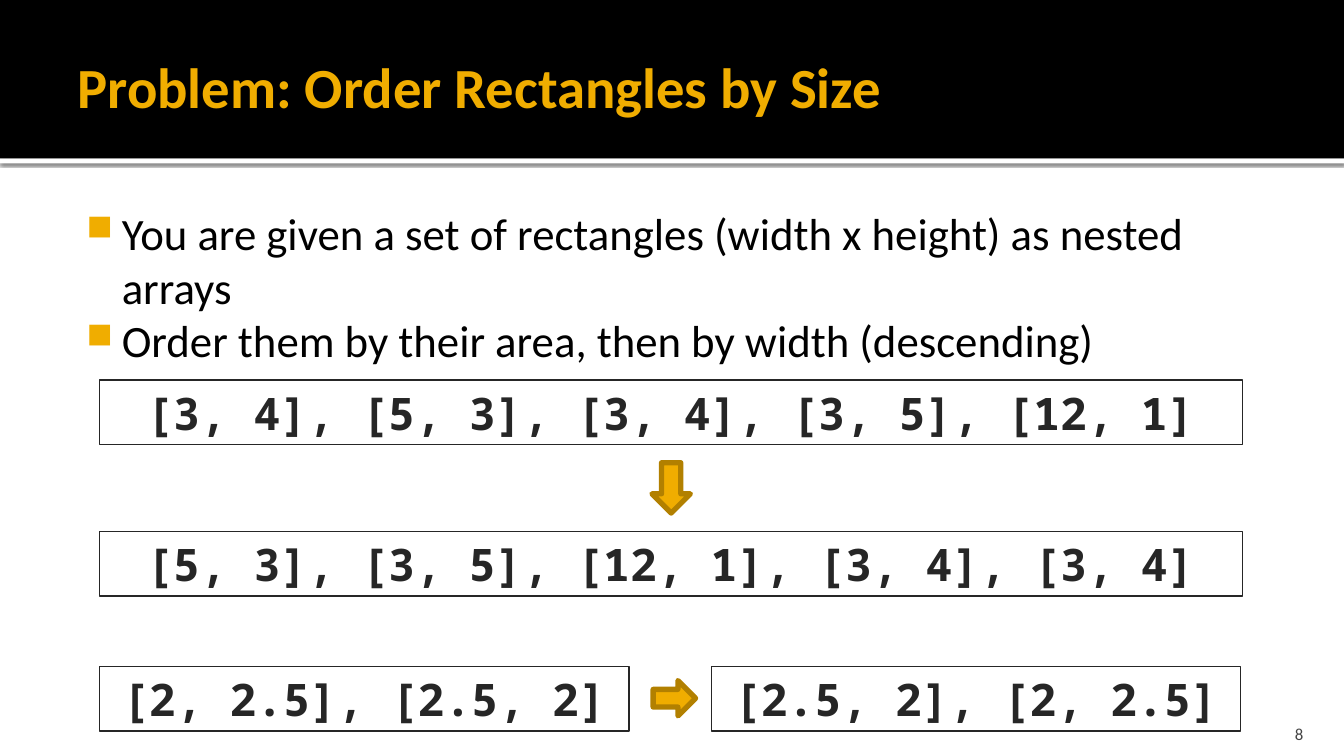
from lxml import etree
from pptx import Presentation
from pptx.dml.color import RGBColor
from pptx.enum import shapes, text
from pptx.oxml import ns
from pptx.util import Cm, Pt

GOLD = RGBColor(0xF0, 0xAD, 0x00)
DARK_GOLD = RGBColor(0xB2, 0x80, 0x00)
BLACK = RGBColor(0, 0, 0)
WHITE = RGBColor(0xFF, 0xFF, 0xFF)
INK = RGBColor(0x26, 0x26, 0x26)
GRAY = RGBColor(0x45, 0x45, 0x45)
BODY_FONT = "Calibri"
CODE_FONT = "Noto Sans Mono"
SHAPE = shapes.MSO_SHAPE
ALIGN = text.PP_ALIGN
ANCHOR = text.MSO_ANCHOR

SLIDE_WIDTH = 33.87
HEADER_HEIGHT = 3.99
CODE_LEFT = 2.51
CODE_WIDTH = 28.8
HALF_WIDTH = 13.34
CODE_HEIGHT = 1.63


def add_child(parent, tag, **attributes):
    return etree.SubElement(parent, ns.qn(tag), **attributes)


def add_block(page, kind, place, fill=None, line=None, line_width=1):
    block = page.shapes.add_shape(kind, *map(Cm, place))
    block.shadow.inherit = False
    if fill is None:
        block.fill.background()
    else:
        block.fill.solid()
        block.fill.fore_color.rgb = fill
    if line is None:
        block.line.fill.background()
    else:
        block.line.color.rgb = line
        block.line.width = Pt(line_width)
    return block


def write(box, lines, size, color, font=BODY_FONT, bold=False,
          align=ALIGN.LEFT, anchor=ANCHOR.TOP, insets=(0.25, 0.13, 0.25, 0.13)):
    frame = box.text_frame
    frame.word_wrap = True
    frame.vertical_anchor = anchor
    (frame.margin_left, frame.margin_top,
     frame.margin_right, frame.margin_bottom) = map(Cm, insets)
    frame.text = "\n".join(lines)
    for para in frame.paragraphs:
        para.alignment = align
        for span in para.runs:
            span.font.size = Pt(size)
            span.font.name = font
            span.font.bold = bold
            span.font.color.rgb = color


def add_text(page, place, lines, size, color, **style):
    box = page.shapes.add_textbox(*map(Cm, place))
    write(box, lines, size, color, **style)
    return box


def add_bullets(box):
    for para in box.text_frame.paragraphs:
        props = para._p.get_or_add_pPr()
        props.set("marL", str(Cm(1.22)))
        props.set("indent", str(-Cm(0.89)))
        add_child(add_child(props, "a:buClr"), "a:srgbClr", val=str(GOLD))
        add_child(props, "a:buSzPct", val="80000")
        add_child(props, "a:buChar", char="■")


def add_soft_shadow(block):
    effects = block._element.spPr.find(ns.qn("a:effectLst"))
    shadow = add_child(effects, "a:outerShdw", blurRad=str(Pt(2.5)),
                       dist=str(Pt(0.8)), dir="5400000", rotWithShape="0")
    color = add_child(shadow, "a:srgbClr", val=str(BLACK))
    add_child(color, "a:alpha", val="60000")


def add_code(page, left, top, width, code):
    block = add_block(page, SHAPE.RECTANGLE,
                      (left, top, width, CODE_HEIGHT), line=INK)
    write(block, [code], 32, INK, font=CODE_FONT, bold=True,
          align=ALIGN.CENTER, anchor=ANCHOR.MIDDLE)


def add_arrow(page, kind, place):
    add_block(page, kind, place, GOLD, DARK_GOLD, 3.78)


def add_header(page, title):
    strip = add_block(page, SHAPE.RECTANGLE,
                      (0, HEADER_HEIGHT, SLIDE_WIDTH, 0.13), WHITE)
    add_soft_shadow(strip)
    add_block(page, SHAPE.RECTANGLE, (0, 0, SLIDE_WIDTH, HEADER_HEIGHT), BLACK)
    add_text(page, (1.7, 0.43, 23.29, 3.48), [title], 40.5, GOLD,
             bold=True, anchor=ANCHOR.MIDDLE)


def main():
    deck = Presentation()
    deck.slide_width, deck.slide_height = Cm(SLIDE_WIDTH), Cm(19.05)
    page = deck.slides.add_slide(deck.slide_layouts[6])

    add_header(page, "Problem: Order Rectangles by Size")
    task = add_text(page, (1.7, 4.93, 30.48, 12.85), [
        "You are given a set of rectangles (width x height) as nested arrays",
        "Order them by their area, then by width (descending)",
    ], 32, BLACK, insets=(0.15, 0.25, 0.25, 0.13))
    add_bullets(task)
    add_text(page, (30.38, 17.98, 2.72, 0.76), ["8"], 12, GRAY,
             align=ALIGN.RIGHT, anchor=ANCHOR.BOTTOM,
             insets=(0.25, 0.13, 0.25, 0))

    for left, top, width, code in (
        (CODE_LEFT, 9.58, CODE_WIDTH, "[3, 4], [5, 3], [3, 4], [3, 5], [12, 1]"),
        (CODE_LEFT, 13.39, CODE_WIDTH, "[5, 3], [3, 5], [12, 1], [3, 4], [3, 4]"),
        (CODE_LEFT, 16.79, HALF_WIDTH, "[2, 2.5], [2.5, 2]"),
        (17.93, 16.79, HALF_WIDTH, "[2.5, 2], [2, 2.5]"),
    ):
        add_code(page, left, top, width, code)
    add_arrow(page, SHAPE.DOWN_ARROW, (16.43, 11.66, 0.97, 1.27))
    add_arrow(page, SHAPE.RIGHT_ARROW, (16.46, 17.15, 1.07, 0.89))

    deck.save("out.pptx")


main()
